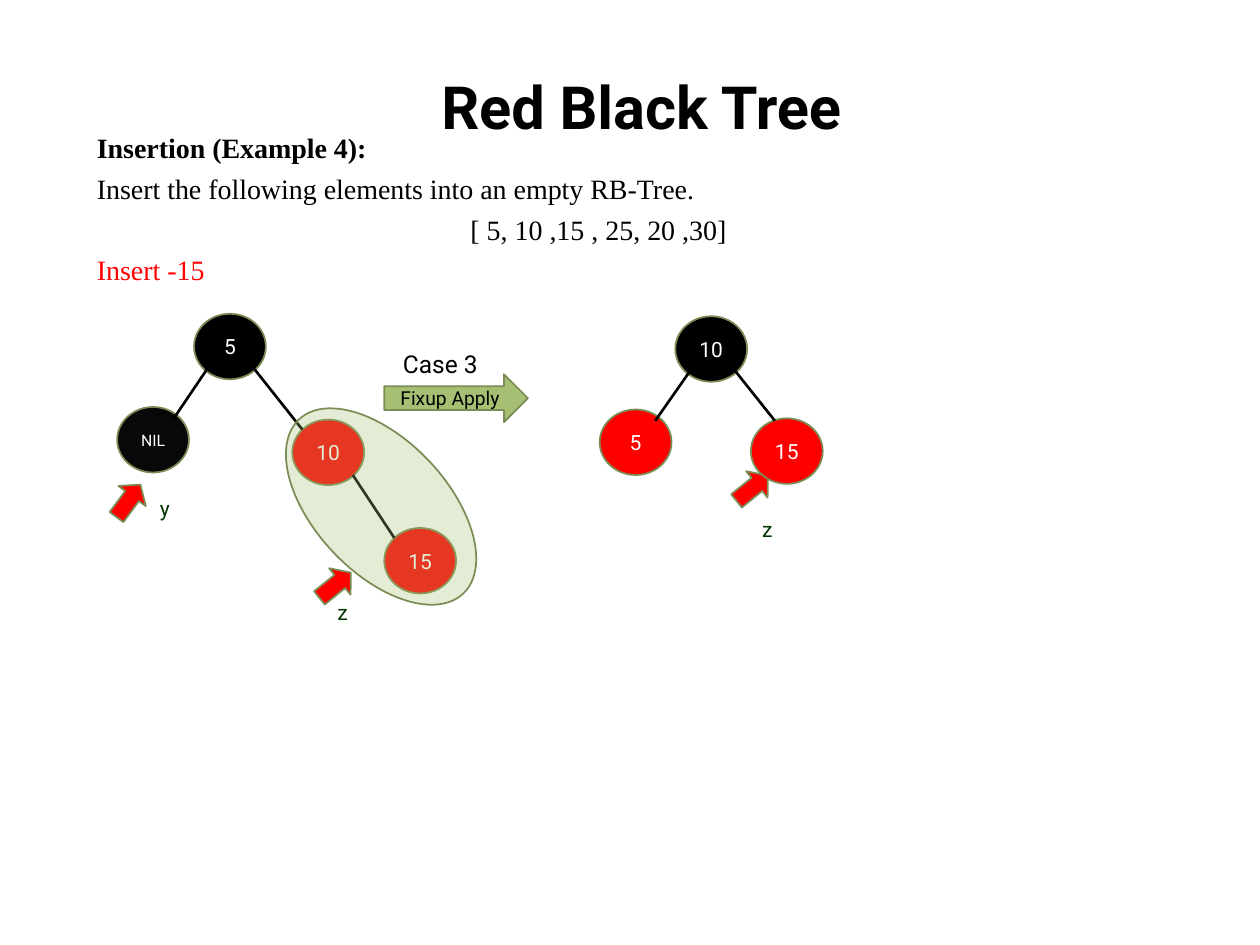
from lxml import etree
from pptx import Presentation
from pptx.dml.color import RGBColor
from pptx.enum.shapes import MSO_CONNECTOR, MSO_SHAPE
from pptx.enum.text import MSO_ANCHOR, PP_ALIGN
from pptx.oxml.ns import qn
from pptx.util import Inches, Pt

OVAL, ARROW = MSO_SHAPE.OVAL, MSO_SHAPE.RIGHT_ARROW
STRAIGHT = MSO_CONNECTOR.STRAIGHT
LEFT, CENTER, JUSTIFY = PP_ALIGN.LEFT, PP_ALIGN.CENTER, PP_ALIGN.JUSTIFY
TOP, MIDDLE = MSO_ANCHOR.TOP, MSO_ANCHOR.MIDDLE

COLORS = {
    "black": "000000", "nil": "080808", "red": "FF0000", "white": "FFFFFF",
    "outline": "7B8D55", "green": "A6BF73", "label": "003300",
}
SANS, SERIF = "Roboto", "Times New Roman"
COLUMNS, ROWS = 100, 75
NODE_W, NODE_H = 5.7, 5.2
POINTER_W, POINTER_H = 3.2, 2.7


class TreeSlide:
    """Draws on one slide; all lengths are columns and rows of its grid."""

    def __init__(self, deck):
        self.slide = deck.slides.add_slide(deck.slide_layouts[6])
        self.shapes = self.slide.shapes
        self.col = deck.slide_width / COLUMNS
        self.row = deck.slide_height / ROWS

    def place(self, x, y, w, h):
        return (round(x * self.col), round(y * self.row),
                round(w * self.col), round(h * self.row))

    def color(self, name):
        return RGBColor.from_string(COLORS[name])

    def style(self, paragraph, size, color, font=SANS, bold=False, align=LEFT):
        paragraph.alignment = align
        for run in paragraph.runs:
            run.font.size, run.font.name, run.font.bold = Pt(size), font, bold
            run.font.color.rgb = self.color(color)

    def text(self, box, lines, wrap=False, anchor=TOP):
        """Each line is (wording, size, color, font, bold, align)."""
        frame = self.shapes.add_textbox(*self.place(*box)).text_frame
        frame.word_wrap, frame.vertical_anchor = wrap, anchor
        frame.text = "\n".join(line[0] for line in lines)
        for number, (paragraph, line) in enumerate(zip(frame.paragraphs, lines)):
            self.style(paragraph, *line[1:])
            if number:
                paragraph.space_before = Pt(4)

    def label(self, x, y, wording, size=12, color="label", w=2.7, h=3):
        self.text((x, y, w, h), [(wording, size, color)])

    def shape(self, kind, box, fill, wording="", size=12, color="white",
              rotation=0, opacity=None):
        shape = self.shapes.add_shape(kind, *self.place(*box))
        shape.shadow.inherit = False
        shape.rotation = rotation
        shape.fill.solid()
        shape.fill.fore_color.rgb = self.color(fill)
        shape.line.color.rgb = self.color("outline")
        shape.line.width = Pt(1)
        if opacity is not None:
            tint = shape.fill._xPr.find(qn("a:solidFill"))[0]
            etree.SubElement(tint, qn("a:alpha"), val=str(opacity * 1000))
        if wording:
            frame = shape.text_frame
            frame.word_wrap, frame.vertical_anchor = False, MIDDLE
            frame.margin_left = frame.margin_right = 0
            frame.margin_top = frame.margin_bottom = 0
            frame.text = wording
            self.style(frame.paragraphs[0], size, color, align=CENTER)
        return shape

    def node(self, x, y, key, fill, size=12):
        self.shape(OVAL, (x, y, NODE_W, NODE_H), fill, key, size)

    def pointer(self, x, y, rotation):
        arrow = self.shape(ARROW, (x, y, POINTER_W, POINTER_H), "red",
                           rotation=rotation)
        arrow.adjustments[1] = 0.415

    def edge(self, x1, y1, x2, y2):
        line = self.shapes.add_connector(
            STRAIGHT, *self.place(x1, y1, x2, y2))
        line.line.color.rgb = self.color("black")
        line.line.width = Pt(1.5)
        etree.SubElement(line._element.spPr, qn("a:effectLst"))


def main():
    deck = Presentation()
    deck.slide_width, deck.slide_height = Inches(10), Inches(7.5)
    page = TreeSlide(deck)

    # Title and task
    page.text((5.9, 4.4, 90, 7.9),
              [("Red Black Tree", 34, "black", SANS, True, CENTER)],
              wrap=True, anchor=MIDDLE)
    page.text((6.7, 9.9, 81.6, 13.4), [
        ("Insertion (Example 4):", 16, "black", SERIF, True, JUSTIFY),
        ("Insert the following elements into an empty RB-Tree.",
         16, "black", SERIF, False, JUSTIFY),
        ("[ 5, 10 ,15 , 25, 20 ,30]", 16, "black", SERIF, False, CENTER),
        ("Insert -15", 16, "red", SERIF, False, LEFT),
    ], wrap=True)

    # Tree before the fixup, with the violating pair ringed
    page.node(15.4, 24.9, "5", "black")
    page.label(25.8, 47.1, "z")
    page.pointer(25, 45.1, 321)
    page.node(23.2, 33.3, "10", "red")
    page.edge(20.2, 29.3, 24, 34.1)
    page.node(30.5, 41.9, "15", "red")
    page.edge(28, 37.7, 31.3, 42.7)
    page.shape(OVAL, (25, 30.7, 10.5, 19), "green", rotation=316.7, opacity=29)
    page.node(9.3, 32.3, "NIL", "nil", size=9)
    page.edge(16.5, 29.2, 13.8, 33.2)
    page.label(11.7, 38.8, "y")
    page.pointer(8.6, 38.4, 306.3)

    # Fixup step
    page.shape(ARROW, (30.5, 29.7, 11.4, 3.8), "green", "Fixup Apply",
               size=11, color="black")
    page.label(31, 27.2, "Case 3", size=14, color="black", w=8.6, h=3.4)

    # Tree after the fixup
    page.node(53.6, 25.1, "10", "black")
    page.label(59.5, 40.5, "z")
    page.pointer(58.1, 37.4, 321)
    page.node(59.6, 33.2, "15", "red")
    page.edge(58.4, 29.5, 61.5, 33.4)
    page.node(47.6, 32.5, "5", "red")
    page.edge(54.8, 29.4, 52, 33.4)

    deck.save("out.pptx")


if __name__ == "__main__":
    main()
